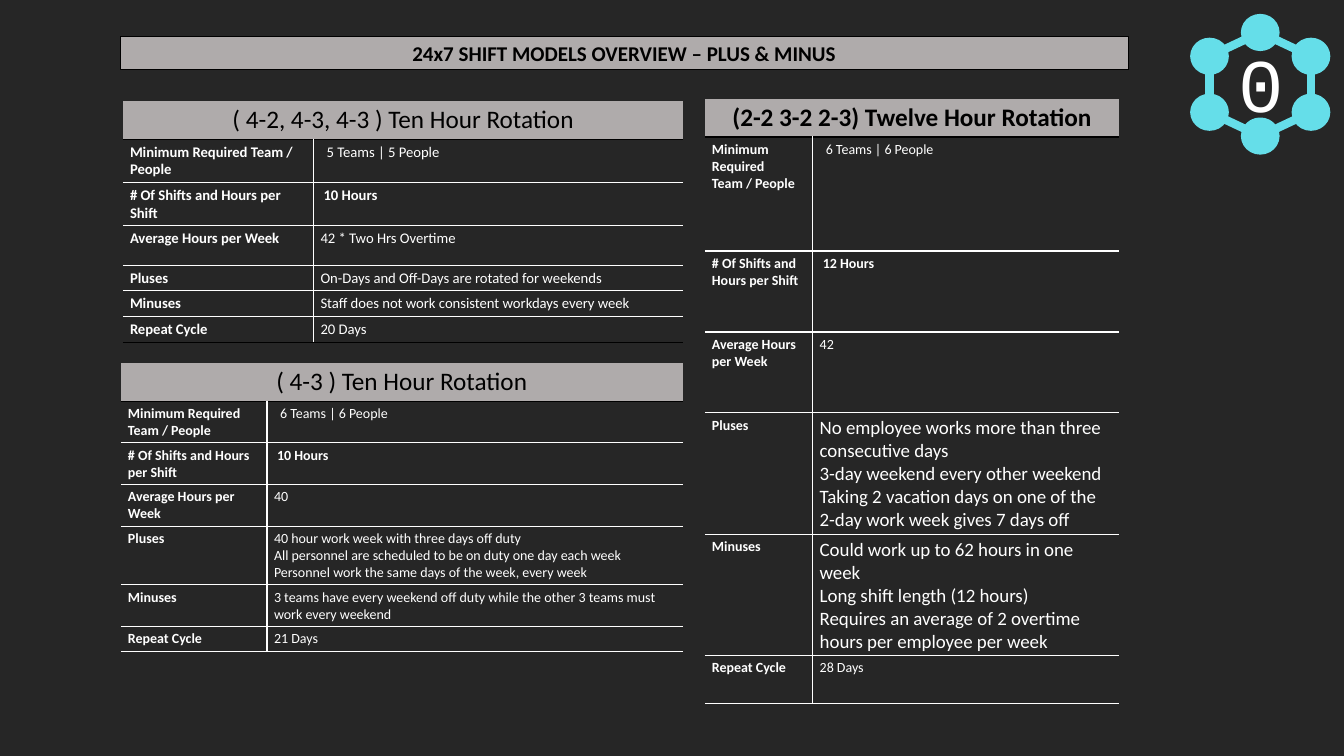
from lxml import etree
from pptx import Presentation
from pptx.dml.color import RGBColor
from pptx.enum import shapes, text
from pptx.oxml import ns
from pptx.util import Emu, Inches, Pt

DARK = RGBColor(0x26, 0x26, 0x26)
GREY = RGBColor(0xAF, 0xAB, 0xAB)
CYAN = RGBColor(0x65, 0xDE, 0xE9)
WHITE = RGBColor(0xFF, 0xFF, 0xFF)
BLACK = RGBColor(0, 0, 0)

deck = Presentation()
deck.slide_width, deck.slide_height = Inches(13.33), Inches(7.5)


def across(share):
    """Percent of the slide width."""
    return Emu(int(deck.slide_width * share / 100))


def down(share):
    """Percent of the slide height."""
    return Emu(int(deck.slide_height * share / 100))


def place(box):
    x, y, w, h = box
    return across(x), down(y), across(w), down(h)


def write(frame, lines, size=10, color=WHITE, bold=False, font="Calibri",
          align=text.PP_ALIGN.LEFT):
    for i, line in enumerate(lines):
        para = frame.paragraphs[0] if i == 0 else frame.add_paragraph()
        para.alignment = align
        run = para.add_run()
        run.text = line
        run.font.size, run.font.bold, run.font.name = Pt(size), bold, font
        run.font.color.rgb = color


def inset(part, x=0.07, y=0.04):
    part.margin_left = part.margin_right = Inches(x)
    part.margin_top = part.margin_bottom = Inches(y)


def edge(cell, **sides):
    """Draw the sides given as L, R, T, B with a colour; clear the rest."""
    props = cell._tc.get_or_add_tcPr()
    for side in "LRTB":
        line = etree.SubElement(props, ns.qn("a:ln" + side), w=str(Pt(1)))
        color = sides.get(side)
        if color is None:
            etree.SubElement(line, ns.qn("a:noFill"))
        else:
            fill = etree.SubElement(line, ns.qn("a:solidFill"))
            etree.SubElement(fill, ns.qn("a:srgbClr"), val=str(color))


def badge(slide, box, label):
    """Ring of six joined dots around the page number."""
    x, y, w, h = box
    dot_w, dot_h = 2.25, 3.8
    mid = x + w / 2, y + h / 2
    dx, dy = (w - dot_w) / 2, (h - dot_h) / 2
    turns = [(0, -1), (1, -0.54), (1, 0.54), (0, 1), (-1, 0.54), (-1, -0.54)]
    dots = [(mid[0] + i * dx, mid[1] + j * dy) for i, j in turns]
    # Links
    for (ax, ay), (bx, by) in zip(dots, dots[1:] + dots[:1]):
        link = slide.shapes.add_connector(
            shapes.MSO_CONNECTOR.STRAIGHT, across(ax), down(ay), across(bx), down(by))
        link.line.color.rgb, link.line.width = CYAN, Pt(6)
        etree.SubElement(link._element.spPr, ns.qn("a:effectLst"))
    # Dots
    for cx, cy in dots:
        dot = slide.shapes.add_shape(
            shapes.MSO_SHAPE.OVAL,
            *place((cx - dot_w / 2, cy - dot_h / 2, dot_w, dot_h)))
        dot.shadow.inherit = False
        dot.fill.solid()
        dot.fill.fore_color.rgb = dot.line.color.rgb = CYAN
        dot.line.width = Pt(6)
    # Number
    num = slide.shapes.add_textbox(
        *place((mid[0] - 1.65, mid[1] - 6.3, 3.3, 12.3))).text_frame
    inset(num, 0, 0)
    num.word_wrap = False
    write(num, [label], size=54, font="Courier New")


def banner(slide, box, title):
    bar = slide.shapes.add_shape(shapes.MSO_SHAPE.RECTANGLE, *place(box))
    bar.shadow.inherit = False
    bar.fill.solid()
    bar.fill.fore_color.rgb = GREY
    bar.line.color.rgb, bar.line.width = BLACK, Pt(0.5)
    frame = bar.text_frame
    inset(frame)
    frame.word_wrap = True
    frame.vertical_anchor = text.MSO_ANCHOR.MIDDLE
    write(frame, [title], size=15, color=BLACK, bold=True, align=text.PP_ALIGN.CENTER)


LABELS = ["Minimum Required Team / People", "# Of Shifts and Hours per Shift",
          "Average Hours per Week", "Pluses", "Minuses", "Repeat Cycle"]


def model(slide, box, split, rows, title, facts, size=10, big=10,
          bold=False, foot=WHITE):
    """Shift model: split is the label column's share, rows are slide shares."""
    x, y, w = box
    grid = slide.shapes.add_table(
        len(rows), 2, *place((x, y, w, sum(rows)))).table
    grid.first_row = grid.horz_banding = False
    for col, share in zip(grid.columns, (split, 1 - split)):
        col.width = across(w * share)
    for row, share in zip(grid.rows, rows):
        row.height = down(share)
    # Heading
    for cell in grid.rows[0].cells:
        inset(cell)
        edge(cell, B=BLACK)
        cell.fill.solid()
        cell.fill.fore_color.rgb = GREY
    head = grid.cell(0, 0)
    head.merge(grid.cell(0, 1))
    write(head.text_frame, [title], size=18, color=BLACK, bold=bold,
          align=text.PP_ALIGN.CENTER)
    # Labels and facts
    for r, (label, fact) in enumerate(zip(LABELS, facts), 1):
        top = BLACK if r == 1 else WHITE
        base = foot if r == len(LABELS) else WHITE
        name, info = grid.rows[r].cells
        for cell in (name, info):
            inset(cell)
        edge(name, T=top, R=WHITE, B=base)
        edge(info, T=top, L=WHITE, B=base)
        name.fill.background()
        info.fill.background()
        info.margin_left = Inches({1: 0.13, 2: 0.1}.get(r, 0.07))
        write(name.text_frame, [label], size=size, bold=True)
        write(info.text_frame, fact, bold=r == 2,
              size=big if label in ("Pluses", "Minuses") else size)


def overview(slide):
    slide.background.fill.solid()
    slide.background.fill.fore_color.rgb = DARK
    badge(slide, (88.87, 2.4, 9.8, 17.5), "0")
    banner(slide, (8.95, 4.8, 75, 4.4), "24x7 SHIFT MODELS OVERVIEW – PLUS & MINUS")
    model(slide, (9.15, 13.35, 41.7), 0.34, [4.9, 5.7, 5.7, 5.2, 3.3, 3.3, 3.3],
          "( 4-2, 4-3, 4-3 ) Ten Hour Rotation",
          [["5 Teams | 5 People"], ["10 Hours"], ["42 * Two Hrs Overtime"],
           ["On-Days and Off-Days are rotated for weekends"],
           ["Staff does not work consistent workdays every week"], ["20 Days"]],
          size=10.5, big=10.5, foot=BLACK)
    model(slide, (9, 48, 41.8), 0.26, [4.9, 5.4, 5.4, 5.4, 7.7, 5.4, 3.2],
          "( 4-3 ) Ten Hour Rotation",
          [["6 Teams | 6 People"], ["10 Hours"], ["40"],
           ["40 hour work week with three days off duty",
            "All personnel are scheduled to be on duty one day each week",
            "Personnel work the same days of the week, every week"],
           ["3 teams have every weekend off duty while the other 3 teams must "
            "work every weekend"], ["21 Days"]])
    model(slide, (52.45, 13.05, 30.83), 0.26, [4.9, 15.1, 10.7, 10.7, 15.9, 16, 6.3],
          "(2-2 3-2 2-3) Twelve Hour Rotation",
          [["6 Teams | 6 People"], ["12 Hours"], ["42"],
           ["No employee works more than three consecutive days",
            "3-day weekend every other weekend",
            "Taking 2 vacation days on one of the 2-day work week gives 7 days off"],
           ["Could work up to 62 hours in one week", "Long shift length (12 hours)",
            "Requires an average of 2 overtime hours per employee per week"],
           ["28 Days"]], big=13.5, bold=True)


overview(deck.slides.add_slide(deck.slide_layouts[6]))
deck.save("out.pptx")
